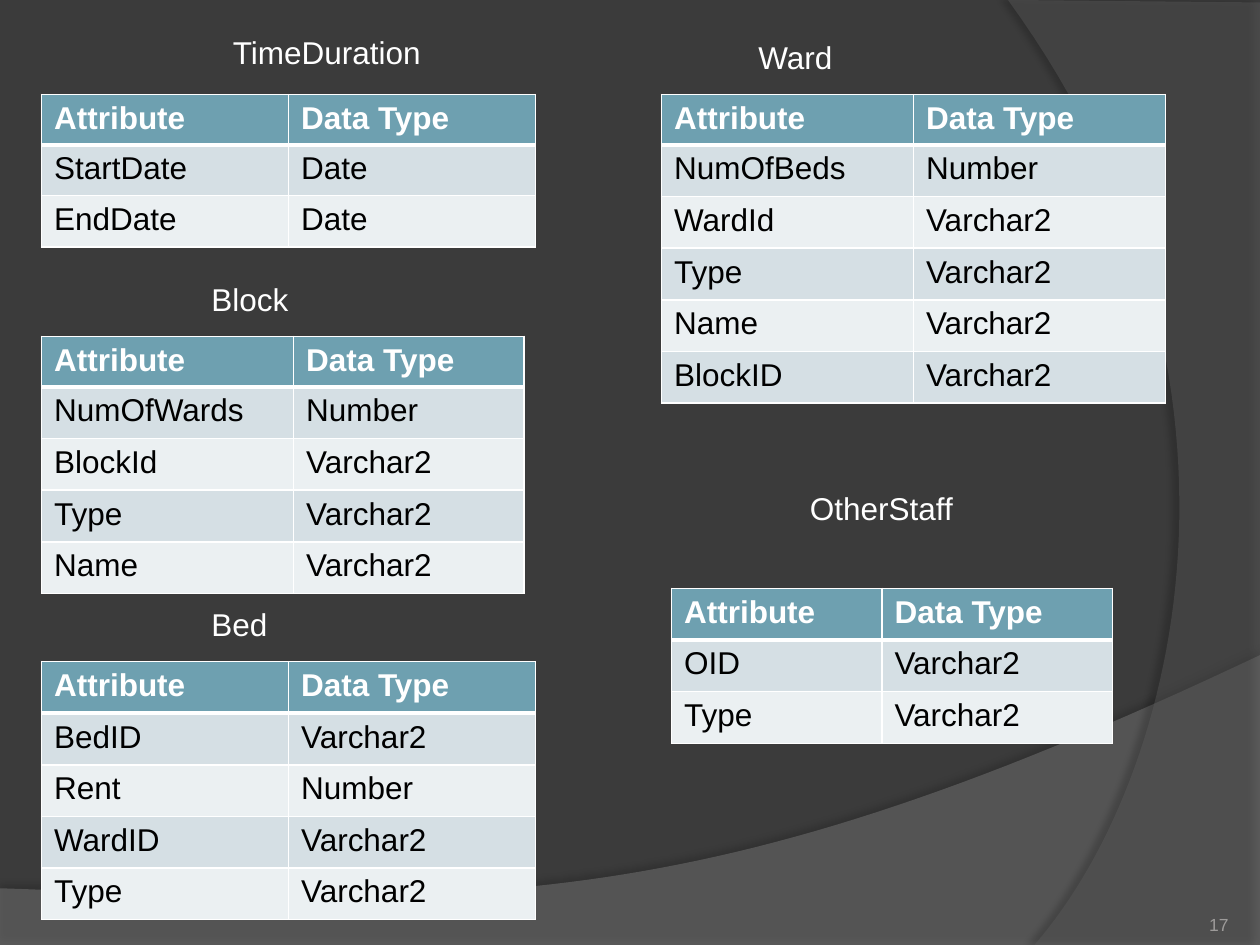
"""Build a slide of attribute tables for a hospital database."""
from lxml.etree import SubElement
from pptx import Presentation
from pptx.dml.color import RGBColor
from pptx.enum.text import MSO_ANCHOR as Anchor, MSO_AUTO_SIZE as AutoSize, PP_ALIGN as Align
from pptx.oxml import parse_xml
from pptx.oxml.ns import nsdecls, qn
from pptx.util import Inches, Pt

COLORS = {
    "background": "3B3B3B", "wave": "7F7F7F", "side": "5E5E5E", "shadow": "000000",
    "header": "6EA0B0", "odd": "D5DFE4", "even": "EBF0F2",
    "white": "FFFFFF", "black": "000000", "number": "9D9B9A",
}
FONT = "Arial"
HEADINGS = ("Attribute", "Data Type")
SHORT_ROW, TALL_ROW = 0.38, 0.41

TABLES = [
    {"title": "TimeDuration", "title_at": (1.75, 0.21, 1.78), "at": (0.33, 0.75),
     "columns": (1.96, 1.96), "short_rows": 2,
     "rows": [("StartDate", "Date"), ("EndDate", "Date")]},
    {"title": "Block", "title_at": (1.58, 2.17, 0.85), "at": (0.33, 2.67),
     "columns": (2, 1.83), "short_rows": 1,
     "rows": [("NumOfWards", "Number"), ("BlockId", "Varchar2"),
              ("Type", "Varchar2"), ("Name", "Varchar2")]},
    {"title": "Bed", "title_at": (1.58, 4.75, 0.65), "at": (0.33, 5.25),
     "columns": (1.96, 1.96), "short_rows": 0,
     "rows": [("BedID", "Varchar2"), ("Rent", "Number"),
              ("WardID", "Varchar2"), ("Type", "Varchar2")]},
    {"title": "Ward", "title_at": (5.92, 0.25, 0.82), "at": (5.25, 0.75),
     "columns": (2, 2), "short_rows": 1,
     "rows": [("NumOfBeds", "Number"), ("WardId", "Varchar2"), ("Type", "Varchar2"),
              ("Name", "Varchar2"), ("BlockID", "Varchar2")]},
    {"title": "OtherStaff", "title_at": (6.33, 3.83, 1.37), "at": (5.33, 4.67),
     "columns": (1.67, 1.83), "short_rows": 0,
     "rows": [("OID", "Varchar2"), ("Type", "Varchar2")]},
]

SWOOSHES = [
    {"corners": [(0, 7.5), (10, 7.5)], "curve": [(10, 5.2), (5.59, 7.29), (3.91, 7.19), (0, 7.05)],
     "color": "wave", "opacity": 45, "shadow": {"opacity": 35, "distance": 3.5, "angle": 270}},
    {"corners": [(10, 0.02), (10, 7.5)], "curve": [(8.21, 7.5), (9.35, 6.19), (10.18, 3), (8, 0)],
     "color": "side", "opacity": 40, "shadow": {"opacity": 45, "distance": 4, "angle": 180}},
]


def rgb(name):
    """Return the named colour."""
    return RGBColor.from_string(COLORS[name])


def write(frame, text, size=18, color="white", bold=False, align=None):
    """Put one formatted run of text in a text frame."""
    para = frame.paragraphs[0]
    if align is not None:
        para.alignment = align
    span = para.add_run()
    span.text = text
    span.font.name, span.font.size, span.font.bold = FONT, Pt(size), bold
    span.font.color.rgb = rgb(color)


def bezier(points, steps=60):
    """Return points along a cubic curve, in inches."""
    weights = (1, 3, 3, 1)
    return [tuple(sum(weight * (1 - t) ** (3 - i) * t ** i * point[axis]
                      for i, (weight, point) in enumerate(zip(weights, points)))
                  for axis in (0, 1))
            for t in (step / steps for step in range(steps + 1))]


def add_swoosh(page, corners, curve, color, opacity, shadow):
    """Draw a translucent curved area with a soft shadow."""
    outline = [(Inches(x), Inches(y)) for x, y in corners + bezier(curve)]
    builder = page.shapes.build_freeform(*outline[0])
    builder.add_line_segments(outline[1:], close=True)
    shape = builder.convert_to_shape()
    shape.fill.solid()
    shape.fill.fore_color.rgb = rgb(color)
    shape.line.fill.background()
    shape.shadow.inherit = False
    properties = shape.element.spPr
    fill = properties.find(qn("a:solidFill"))[0]
    SubElement(fill, qn("a:alpha"), val=str(opacity * 1000))
    properties.find(qn("a:effectLst")).append(parse_xml(
        f'<a:outerShdw {nsdecls("a")} blurRad="{Pt(4)}" dist="{Pt(shadow["distance"])}" '
        f'dir="{shadow["angle"] * 60000}" algn="ctr" rotWithShape="0">'
        f'<a:srgbClr val="{COLORS["shadow"]}"><a:alpha val="{shadow["opacity"] * 1000}"/>'
        f'</a:srgbClr></a:outerShdw>'))


def set_borders(cell, top, bottom):
    """Give a cell white borders, with widths in points."""
    widths = {"lnL": 1, "lnR": 1, "lnT": top, "lnB": bottom}
    properties = cell._tc.get_or_add_tcPr()
    for position, (side, width) in enumerate(widths.items()):
        properties.insert(position, parse_xml(
            f'<a:{side} {nsdecls("a")} w="{Pt(width)}"><a:solidFill>'
            f'<a:srgbClr val="{COLORS["white"]}"/></a:solidFill></a:{side}>'))


def add_attribute_table(page, at, columns, rows, short_rows):
    """Add a banded table under a bold header row."""
    content = [HEADINGS] + rows
    heights = [SHORT_ROW if r < short_rows else TALL_ROW for r in range(len(content))]
    size = (sum(columns), sum(heights))
    table = page.shapes.add_table(len(content), len(columns), *map(Inches, at + size)).table
    for column, width in zip(table.columns, columns):
        column.width = Inches(width)
    for r, (values, height) in enumerate(zip(content, heights)):
        table.rows[r].height = Inches(height)
        for c, value in enumerate(values):
            cell = table.cell(r, c)
            cell.fill.solid()
            cell.fill.fore_color.rgb = rgb("header" if r == 0 else "odd" if r % 2 else "even")
            set_borders(cell, top=3 if r == 1 else 1, bottom=3 if r == 0 else 1)
            write(cell.text_frame, value, color="black" if r else "white", bold=r == 0)


def add_title(page, text, left, top, width):
    """Add the name above a table."""
    box = page.shapes.add_textbox(*map(Inches, (left, top, width, 0.4)))
    box.text_frame.word_wrap = False
    box.text_frame.auto_size = AutoSize.SHAPE_TO_FIT_TEXT
    write(box.text_frame, text)


def add_page_number(page, number):
    """Add the slide number in the lower right corner."""
    frame = page.shapes.add_textbox(*map(Inches, (8.92, 7.02, 0.83, 0.4))).text_frame
    frame.word_wrap = True
    frame.vertical_anchor = Anchor.BOTTOM
    frame.margin_left = frame.margin_right = frame.margin_top = frame.margin_bottom = 0
    write(frame, number, size=10, color="number", align=Align.RIGHT)


def main():
    """Create and save the deck."""
    deck = Presentation()
    deck.slide_width, deck.slide_height = Inches(10), Inches(7.5)
    page = deck.slides.add_slide(deck.slide_layouts[6])
    page.background.fill.solid()
    page.background.fill.fore_color.rgb = rgb("background")
    for swoosh in SWOOSHES:
        add_swoosh(page, **swoosh)
    add_page_number(page, "17")
    for entity in TABLES:
        add_attribute_table(page, entity["at"], entity["columns"], entity["rows"],
                            entity["short_rows"])
        add_title(page, entity["title"], *entity["title_at"])
    deck.save("out.pptx")


if __name__ == "__main__":
    main()
